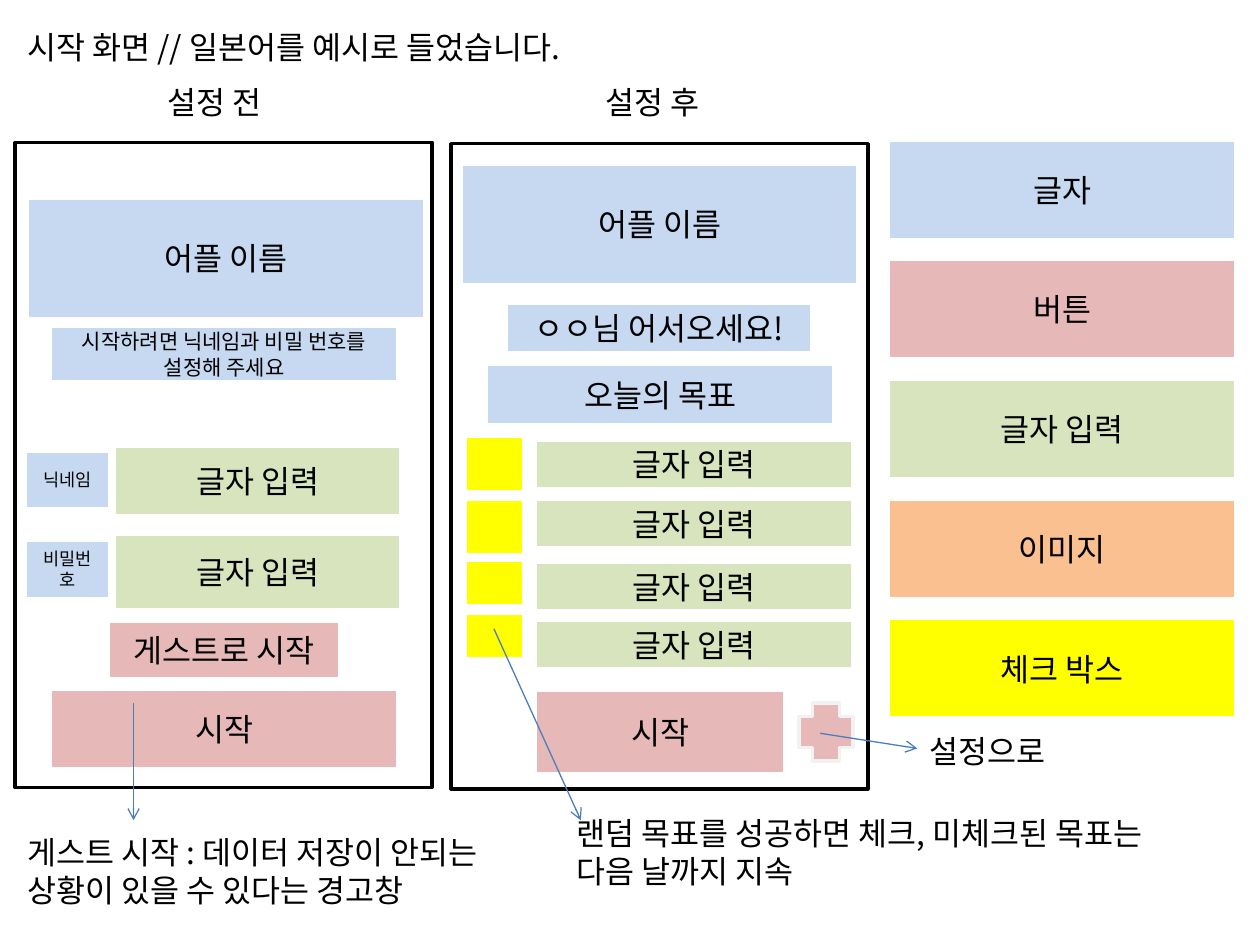
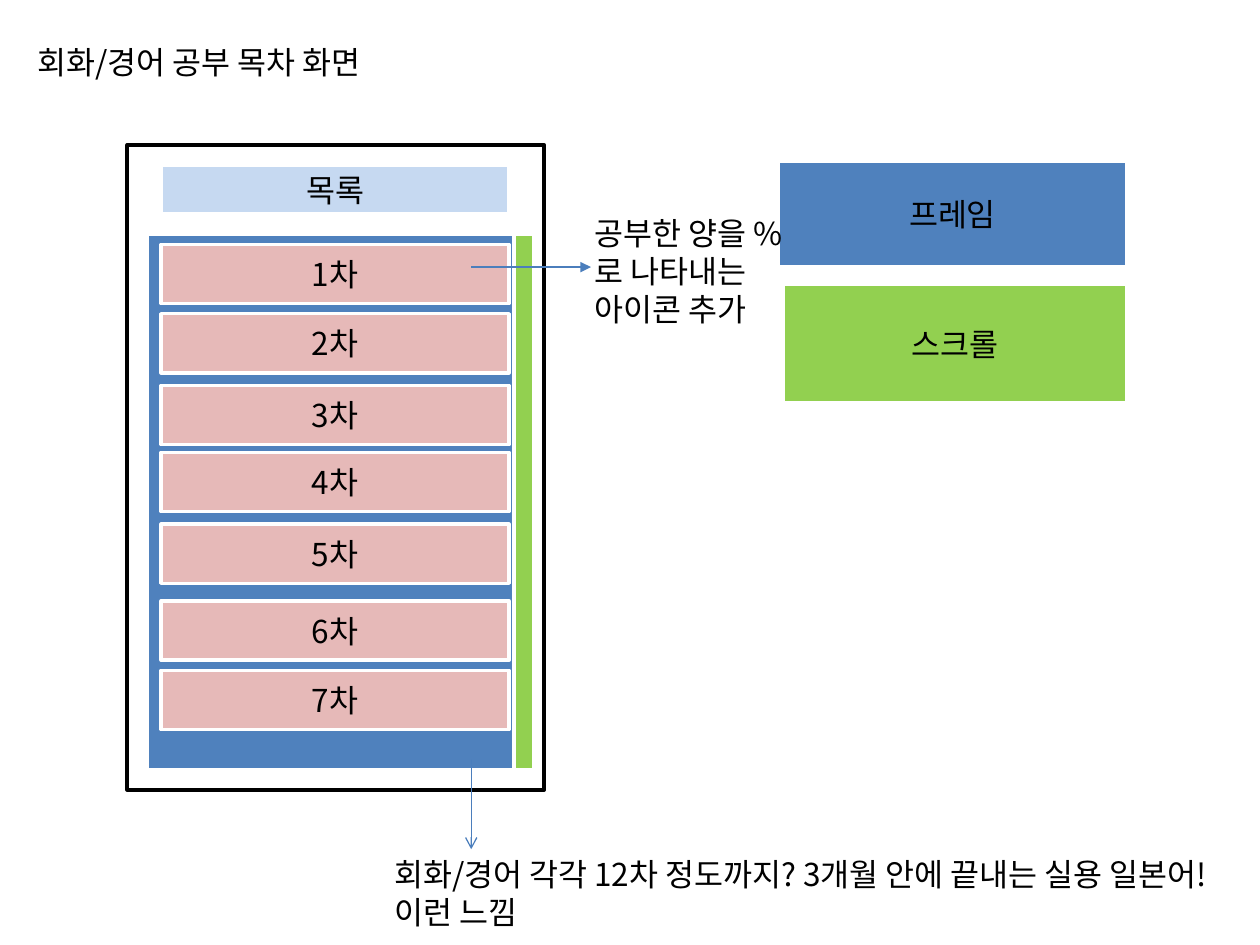
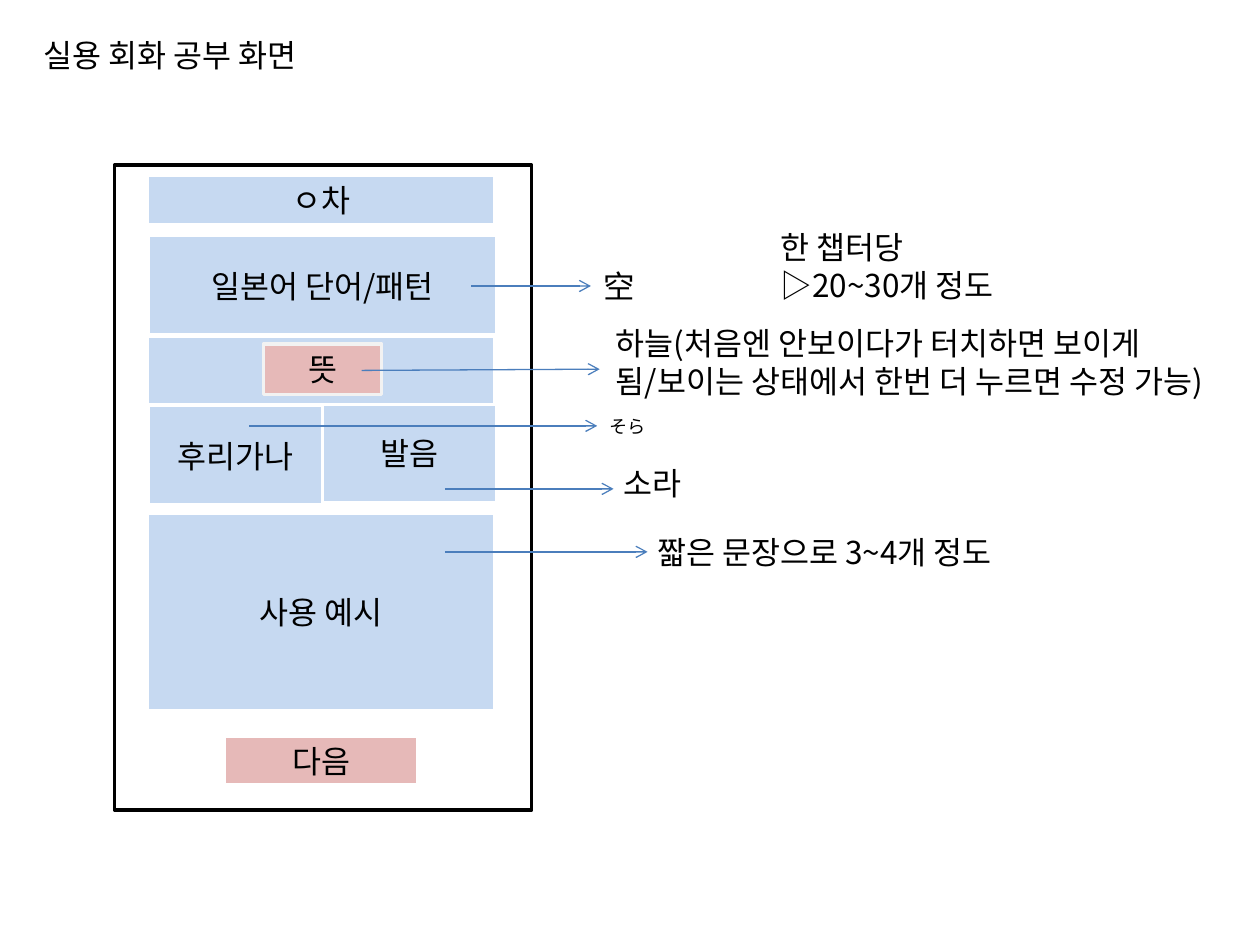
"""Build three wireframe slides for a language learning app."""
import dataclasses
import typing

import lxml.etree
import pptx
import pptx.dml.color
import pptx.enum.shapes
import pptx.enum.text
import pptx.oxml.ns
import pptx.presentation
import pptx.slide
import pptx.text.text
import pptx.util

Shapes = pptx.enum.shapes.MSO_SHAPE
Inches = pptx.util.Inches


@dataclasses.dataclass(frozen=True)
class Theme:
    """Colours, font and sizes shared by every slide."""

    font: str = "Noto Sans CJK KR"
    ink: str = "000000"
    paper: str = "FFFFFF"
    soft_edge: str = "F2F2F2"
    label: str = "C6D9F1"
    button: str = "E6B9B8"
    entry: str = "D7E4BD"
    image: str = "FAC090"
    check: str = "FFFF00"
    frame: str = "4F81BD"
    scroll: str = "92D050"
    arrow: str = "4B7EBC"
    body: float = 18
    small: float = 12
    tiny: float = 10
    edge_width: float = 2
    arrow_width: float = 0.75


THEME = Theme()


@dataclasses.dataclass(frozen=True)
class Box:
    """A filled block of the wireframe."""

    left: float
    top: float
    width: float
    height: float
    fill: str
    text: str = ""
    size: float = THEME.body
    edge: str = THEME.paper
    kind: Shapes = Shapes.RECTANGLE


@dataclasses.dataclass(frozen=True)
class Note:
    """Free text beside the wireframe."""

    left: float
    top: float
    width: float
    text: str
    height: float = 0.4
    wrap: bool = False
    baseline: int = 0


@dataclasses.dataclass(frozen=True)
class Arrow:
    """A callout line with its head at the end."""

    start: tuple[float, float]
    end: tuple[float, float]
    head: str = "arrow"


Element = typing.Union[Box, Note, Arrow]


def write_text(
    frame: pptx.text.text.TextFrame,
    text: str,
    *,
    size: float = THEME.body,
    alignment: pptx.enum.text.PP_ALIGN = pptx.enum.text.PP_ALIGN.LEFT,
    baseline: int = 0,
) -> None:
    """Write one paragraph for each line of text."""
    for index, line in enumerate(text.split("\n")):
        paragraph = frame.add_paragraph() if index else frame.paragraphs[0]
        paragraph.alignment = alignment
        run = paragraph.add_run()
        run.text = line
        run.font.size = pptx.util.Pt(size)
        run.font.color.rgb = pptx.dml.color.RGBColor.from_string(THEME.ink)
        run.font.name = THEME.font
        properties = run.font._element
        east_asian = lxml.etree.SubElement(properties, pptx.oxml.ns.qn("a:ea"))
        east_asian.set("typeface", THEME.font)
        if baseline:
            properties.set("baseline", str(baseline * 1000))


def draw_box(slide: pptx.slide.Slide, box: Box) -> None:
    """Draw a block with centred text."""
    shape = slide.shapes.add_shape(
        box.kind, Inches(box.left), Inches(box.top), Inches(box.width), Inches(box.height)
    )
    shape.shadow.inherit = False
    shape.fill.solid()
    shape.fill.fore_color.rgb = pptx.dml.color.RGBColor.from_string(box.fill)
    shape.line.color.rgb = pptx.dml.color.RGBColor.from_string(box.edge)
    shape.line.width = pptx.util.Pt(THEME.edge_width)
    if box.text:
        shape.text_frame.vertical_anchor = pptx.enum.text.MSO_ANCHOR.MIDDLE
        write_text(
            shape.text_frame, box.text, size=box.size, alignment=pptx.enum.text.PP_ALIGN.CENTER
        )


def draw_note(slide: pptx.slide.Slide, note: Note) -> None:
    """Draw a text box that grows with its text."""
    shape = slide.shapes.add_textbox(
        Inches(note.left), Inches(note.top), Inches(note.width), Inches(note.height)
    )
    shape.text_frame.word_wrap = note.wrap
    shape.text_frame.auto_size = pptx.enum.text.MSO_AUTO_SIZE.SHAPE_TO_FIT_TEXT
    write_text(shape.text_frame, note.text, baseline=note.baseline)


def draw_arrow(slide: pptx.slide.Slide, arrow: Arrow) -> None:
    """Draw a straight connector with an arrowhead."""
    connector = slide.shapes.add_connector(
        pptx.enum.shapes.MSO_CONNECTOR.STRAIGHT,
        *(Inches(value) for value in arrow.start + arrow.end),
    )
    connector.line.color.rgb = pptx.dml.color.RGBColor.from_string(THEME.arrow)
    connector.line.width = pptx.util.Pt(THEME.arrow_width)
    properties = connector._element.spPr
    outline = properties.find(pptx.oxml.ns.qn("a:ln"))
    lxml.etree.SubElement(outline, pptx.oxml.ns.qn("a:tailEnd")).set("type", arrow.head)
    lxml.etree.SubElement(properties, pptx.oxml.ns.qn("a:effectLst"))


def add_slide(
    presentation: pptx.presentation.Presentation, elements: typing.Iterable[Element]
) -> None:
    """Add a blank slide and draw its elements from back to front."""
    slide = presentation.slides.add_slide(presentation.slide_layouts[6])
    for element in elements:
        if isinstance(element, Box):
            draw_box(slide, element)
        elif isinstance(element, Note):
            draw_note(slide, element)
        else:
            draw_arrow(slide, element)


def phone(left: float, top: float) -> Box:
    """Return the outline of a phone screen."""
    return Box(left, top, 3.31, 5.12, THEME.paper, edge=THEME.ink)


def start_screen() -> list[Element]:
    """Return the start screen before and after setup, with the colour key."""
    key = [
        ("글자", THEME.label),
        ("버튼", THEME.button),
        ("글자 입력", THEME.entry),
        ("이미지", THEME.image),
        ("체크 박스", THEME.check),
    ]
    checks = [(3.46, 0.44), (3.96, 0.44), (4.45, 0.36), (4.87, 0.36)]
    goals = [3.49, 3.96, 4.46, 4.92]
    return [
        Note(0.12, 0.17, 4.94, "시작 화면 // 일본어를 예시로 들었습니다."),
        Note(1.23, 0.61, 1.05, "설정 전"),
        Note(4.71, 0.61, 1.05, "설정 후"),
        *(
            Box(7.05, 1.11 + 0.95 * row, 2.76, 0.79, fill, text)
            for row, (text, fill) in enumerate(key)
        ),
        phone(0.12, 1.13),
        Box(0.22, 1.57, 3.15, 0.96, THEME.label, "어플 이름"),
        Box(
            0.4, 2.59, 2.76, 0.44, THEME.label,
            "시작하려면 닉네임과 비밀 번호를 설정해 주세요", THEME.small,
        ),
        Box(0.2, 3.58, 0.67, 0.46, THEME.label, "닉네임", THEME.tiny),
        Box(0.91, 3.54, 2.27, 0.55, THEME.entry, "글자 입력"),
        Box(0.2, 4.29, 0.67, 0.46, THEME.label, "비밀번호", THEME.tiny),
        Box(0.91, 4.24, 2.27, 0.6, THEME.entry, "글자 입력"),
        Box(0.86, 4.93, 1.84, 0.46, THEME.button, "게스트로 시작"),
        Box(0.4, 5.47, 2.76, 0.63, THEME.button, "시작"),
        phone(3.58, 1.14),
        Box(3.66, 1.3, 3.15, 0.96, THEME.label, "어플 이름"),
        Box(4.02, 2.41, 2.42, 0.39, THEME.label, "ㅇㅇ님 어서오세요!"),
        Box(3.86, 2.89, 2.76, 0.48, THEME.label, "오늘의 목표"),
        *(Box(3.69, top, 0.47, height, THEME.check) for top, height in checks),
        *(Box(4.25, top, 2.52, 0.39, THEME.entry, "글자 입력") for top in goals),
        Box(4.25, 5.48, 1.98, 0.66, THEME.button, "시작"),
        Box(
            6.34, 5.58, 0.43, 0.46, THEME.button,
            edge=THEME.soft_edge, kind=Shapes.CROSS,
        ),
        Arrow((1.06, 5.58), (1.06, 6.51)),
        Note(
            0.12, 6.56, 4.13, "게스트 시작 : 데이터 저장이 안되는 상황이 있을 수 있다는 경고창",
            height=0.71, wrap=True,
        ),
        Arrow((3.92, 4.99), (4.61, 6.51)),
        Note(
            4.48, 6.41, 4.69, "랜덤 목표를 성공하면 체크, 미체크된 목표는 다음 날까지 지속",
            height=0.71, wrap=True,
        ),
        Arrow((6.51, 5.82), (7.28, 5.94)),
        Note(7.28, 5.76, 1.21, "설정으로"),
    ]


def contents_screen() -> list[Element]:
    """Return the lesson list with its scroll bar."""
    lessons = [1.94, 2.49, 3.06, 3.59, 4.16, 4.77, 5.32]
    return [
        Note(0.2, 0.29, 3.09, "회화/경어 공부 목차 화면"),
        phone(1.01, 1.15),
        Box(1.28, 1.31, 2.76, 0.39, THEME.label, "목록"),
        Box(1.17, 1.86, 2.99, 4.25, THEME.frame),
        *(
            Box(1.28, top, 2.76, 0.47, THEME.button, f"{number}차")
            for number, top in enumerate(lessons, 1)
        ),
        Box(4.08, 1.86, 0.16, 4.25, THEME.scroll),
        Box(6.18, 1.28, 2.76, 0.84, THEME.frame, "프레임"),
        Box(6.22, 2.26, 2.72, 0.94, THEME.scroll, "스크롤"),
        Arrow((3.74, 6.03), (3.74, 6.74)),
        Note(
            3.03, 6.74, 6.77,
            "회화/경어 각각 12차 정도까지? 3개월 안에 끝내는 실용 일본어! 이런 느낌",
            height=0.71, wrap=True,
        ),
        Arrow((3.74, 2.12), (4.69, 2.12), head="triangle"),
        Note(
            4.62, 1.65, 1.73, "공부한 양을 %로 나타내는 아이콘 추가",
            height=1.31, wrap=True,
        ),
    ]


def study_screen() -> list[Element]:
    """Return the conversation study screen with an example word."""
    return [
        Note(0.25, 0.24, 2.49, "실용 회화 공부 화면"),
        phone(0.91, 1.31),
        Box(1.17, 1.39, 2.76, 0.39, THEME.label, "ㅇ차"),
        Box(1.18, 1.87, 2.76, 0.79, THEME.label, "일본어 단어/패턴"),
        Box(1.18, 3.22, 1.38, 0.79, THEME.label, "후리가나"),
        Box(2.56, 3.2, 1.38, 0.79, THEME.label, "발음"),
        Box(1.17, 4.07, 2.76, 1.57, THEME.label, "사용 예시"),
        Box(1.78, 5.84, 1.54, 0.39, THEME.button, "다음"),
        Box(1.17, 2.67, 2.76, 0.54, THEME.label),
        Box(2.09, 2.73, 0.94, 0.4, THEME.button, "뜻", edge=THEME.soft_edge),
        Arrow((3.74, 2.27), (4.69, 2.27)),
        Note(4.69, 2.07, 0.45, "空"),
        Arrow((2.87, 2.94), (4.76, 2.93)),
        Note(
            4.79, 2.52, 5.21,
            "하늘(처음엔 안보이다가 터치하면 보이게 됨/보이는 상태에서 한번 더 누르면 수정 가능)",
            height=0.71, wrap=True,
        ),
        Arrow((1.98, 3.38), (4.74, 3.38)),
        Note(4.74, 3.22, 0.49, "そら", baseline=30),
        Arrow((3.53, 3.88), (4.87, 3.88)),
        Note(4.85, 3.63, 0.71, "소라"),
        Arrow((3.53, 4.38), (5.14, 4.38)),
        Note(5.12, 4.18, 3.2, "짧은 문장으로 3~4개 정도"),
        Note(6.1, 1.76, 2.03, "한 챕터당\n▷20~30개 정도", height=0.71),
    ]


def main() -> None:
    """Build and save the presentation."""
    presentation = pptx.Presentation()
    presentation.slide_width = Inches(10)
    presentation.slide_height = Inches(7.5)
    for screen in (start_screen, contents_screen, study_screen):
        add_slide(presentation, screen())
    presentation.save("out.pptx")


main()
